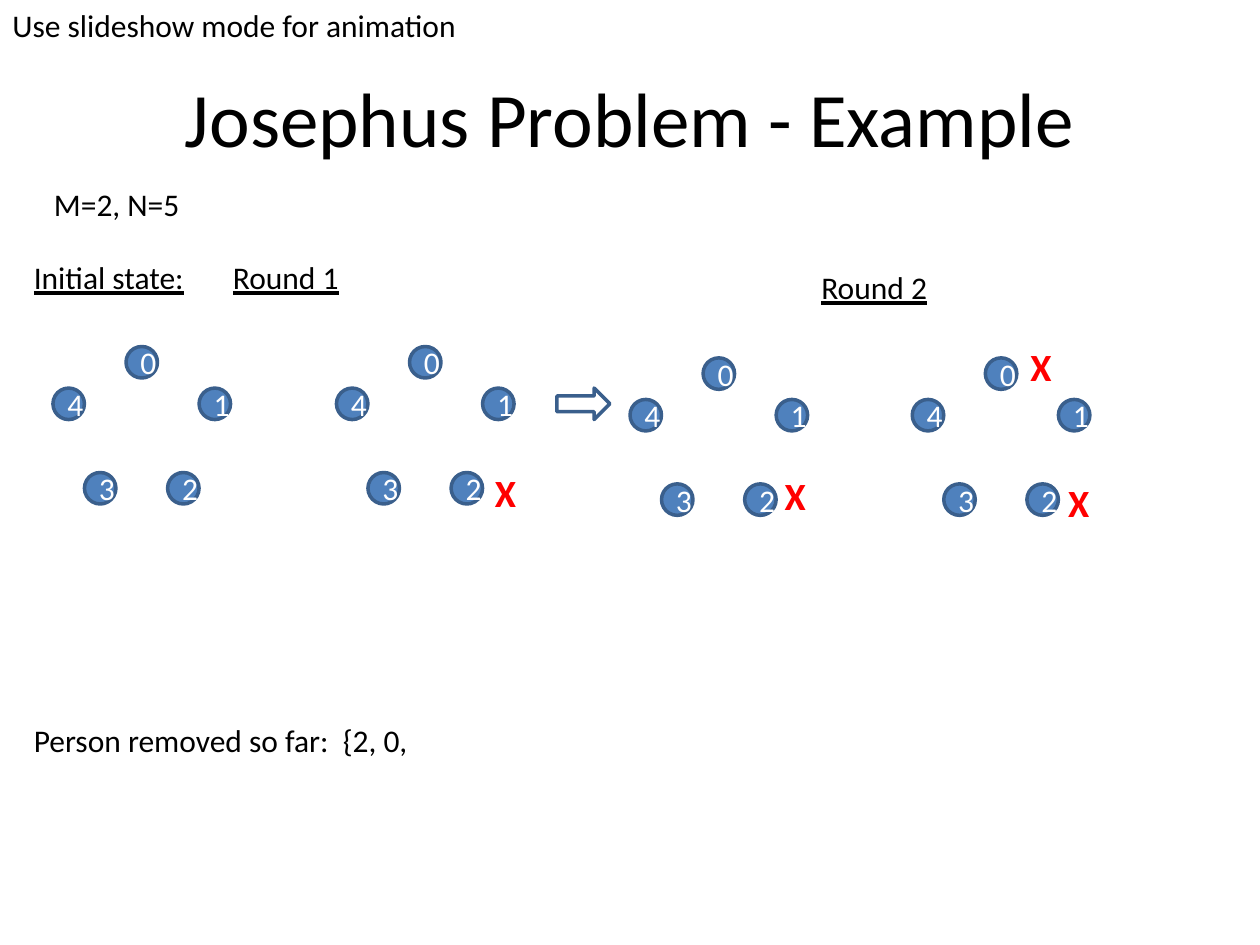
from pptx import Presentation
from pptx.dml.color import RGBColor
from pptx.enum.shapes import MSO_SHAPE
from pptx.enum.text import MSO_ANCHOR, MSO_AUTO_SIZE, PP_ALIGN
from pptx.util import Inches, Pt

OVAL, ARROW = MSO_SHAPE.OVAL, MSO_SHAPE.RIGHT_ARROW
MIDDLE, CENTER = MSO_ANCHOR.MIDDLE, PP_ALIGN.CENTER
GROW = MSO_AUTO_SIZE.SHAPE_TO_FIT_TEXT

BLACK, WHITE, RED = "000000", "FFFFFF", "FF0000"
BLUE, EDGE = "4F81BD", "3A5F8C"
DOT = 0.25

PLAIN = {"name": "Calibri", "size": Pt(18)}
HEAD = {**PLAIN, "underline": True}
MARK = {**PLAIN, "size": Pt(22), "bold": True}
TITLE = {**PLAIN, "size": Pt(44)}

# Seat number and its offset from the ring's left end
SEATS = [("4", 0, 0), ("0", 0.58, -0.33), ("1", 1.16, 0),
         ("2", 0.91, 0.67), ("3", 0.25, 0.67)]


def color(code):
    return RGBColor.from_string(code)


def style(font, form, code):
    for key, value in form.items():
        setattr(font, key, value)
    font.color.rgb = color(code)


def write(frame, text, form, code, align=None):
    para = frame.paragraphs[0]
    para.alignment = align
    run = para.add_run()
    run.text = text
    style(run.font, form, code)


def label(shapes, text, x, y, w, h=0.4, form=PLAIN, code=BLACK):
    box = shapes.add_textbox(Inches(x), Inches(y), Inches(w), Inches(h))
    frame = box.text_frame
    frame.word_wrap = False
    frame.auto_size = GROW
    write(frame, text, form, code)


def cross(shapes, x, y):
    label(shapes, "X", x, y, 0.37, 0.47, MARK, RED)


def solid(shapes, kind, x, y, w, fill):
    shape = shapes.add_shape(kind, Inches(x), Inches(y), Inches(w), Inches(DOT))
    shape.shadow.inherit = False
    shape.fill.solid()
    shape.fill.fore_color.rgb = color(fill)
    shape.line.color.rgb = color(EDGE)
    shape.line.width = Pt(2)
    return shape


def ring(shapes, x, y):
    """Draw the five numbered seats around the circle."""
    for text, dx, dy in SEATS:
        seat = solid(shapes, OVAL, x + dx, y + dy, DOT, BLUE)
        frame = seat.text_frame
        frame.vertical_anchor = MIDDLE
        write(frame, text, PLAIN, WHITE, CENTER)


def title(slide, text):
    head = slide.shapes.title
    head.left, head.top = Inches(0.5), Inches(0.3)
    head.width, head.height = Inches(9), Inches(1.25)
    head.text_frame.vertical_anchor = MIDDLE
    write(head.text_frame, text, TITLE, BLACK, CENTER)


def main():
    deck = Presentation()
    deck.slide_width, deck.slide_height = Inches(10), Inches(7.5)
    slide = deck.slides.add_slide(deck.slide_layouts[5])
    shapes = slide.shapes

    title(slide, "Josephus Problem - Example")
    label(shapes, "M=2, N=5", 0.33, 1.42, 1.21)

    ring(shapes, 0.42, 3.08)
    label(shapes, "Initial state:", 0.17, 2, 1.41, form=HEAD)

    first = shapes.add_group_shape().shapes
    ring(first, 2.67, 3.08)
    label(first, "Round 1", 1.75, 2, 1.05, form=HEAD)
    cross(shapes, 3.83, 3.67)
    cross(shapes, 8.08, 2.67)
    label(shapes, "Person removed so far:  {2, 0,", 0.17, 5.67, 3.26)

    after = shapes.add_group_shape().shapes
    ring(after, 5, 3.17)
    solid(after, ARROW, 4.42, 3.08, 0.42, WHITE)
    cross(after, 6.13, 3.7)

    second = shapes.add_group_shape().shapes
    label(second, "Round 2", 6.42, 2.08, 1.05, form=HEAD)
    ring(second, 7.24, 3.17)
    cross(second, 8.38, 3.75)

    label(shapes, "Use slideshow mode for animation", 0, 0, 3.76)
    deck.save("out.pptx")


if __name__ == "__main__":
    main()
